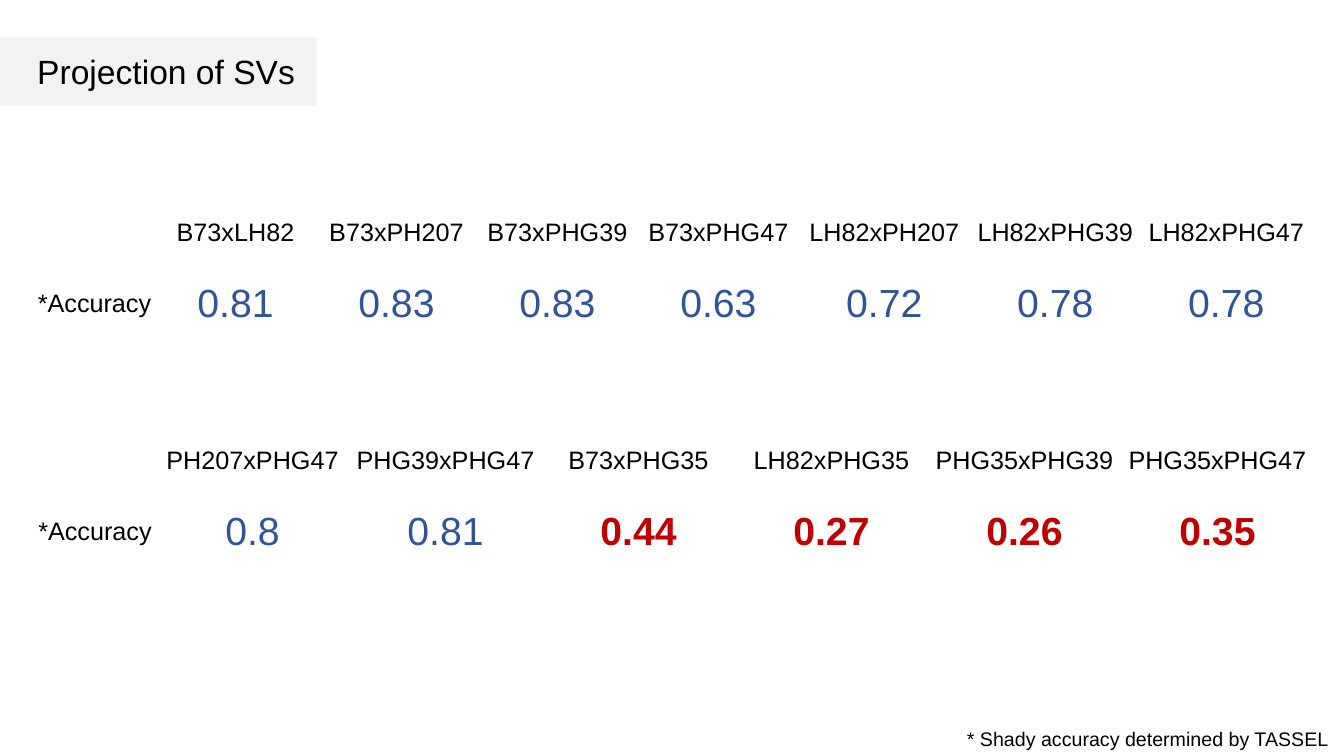
from pptx import Presentation
from pptx.dml.color import RGBColor
from pptx.enum.shapes import MSO_SHAPE
from pptx.enum.text import MSO_ANCHOR, MSO_AUTO_SIZE, PP_ALIGN
from pptx.util import Pt

RECTANGLE = MSO_SHAPE.RECTANGLE
TOP, MIDDLE = MSO_ANCHOR.TOP, MSO_ANCHOR.MIDDLE
LEFT, CENTER, RIGHT = PP_ALIGN.LEFT, PP_ALIGN.CENTER, PP_ALIGN.RIGHT
NO_AUTOFIT = MSO_AUTO_SIZE.NONE
FIT_SHAPE = MSO_AUTO_SIZE.SHAPE_TO_FIT_TEXT

EMU_PER_PX = 914400 / 100.8
BLACK, BAND_GREY = "000000", "F2F2F2"
GOOD_BLUE, POOR_RED = "2F5597", "C00000"
POOR_LIMIT = 0.5


def px(length):
    return round(length * EMU_PER_PX)


def colour(hex_string):
    return RGBColor.from_string(hex_string)


class SlideBuilder:
    font_name = "Arial"
    row_height = 71

    def __init__(self, slide):
        self.slide = slide

    def format_text(self, frame, size, hex_string=BLACK, align=LEFT, bold=False):
        for paragraph in frame.paragraphs:
            paragraph.alignment = align
            for run in paragraph.runs:
                run.font.name = self.font_name
                run.font.size = Pt(size)
                run.font.bold = bold
                run.font.color.rgb = colour(hex_string)

    def band(self, left, top, width, height, hex_string):
        band = self.slide.shapes.add_shape(
            RECTANGLE, px(left), px(top), px(width), px(height))
        band.shadow.inherit = False
        band.fill.solid()
        band.fill.fore_color.rgb = colour(hex_string)
        band.line.fill.background()
        return band

    def title(self, text, left, top, width, height, band):
        heading = self.slide.shapes.title
        heading.left, heading.top = px(left), px(top)
        heading.width, heading.height = px(width), px(height)
        frame = heading.text_frame
        frame.text = text
        frame.vertical_anchor = TOP
        frame.auto_size = NO_AUTOFIT
        self.format_text(frame, 24, align=RIGHT)
        band.element.addnext(heading.element)

    def footnote(self, text, left, top, width, height):
        note = self.slide.shapes.add_textbox(
            px(left), px(top), px(width), px(height))
        frame = note.text_frame
        frame.text = text
        frame.word_wrap = False
        frame.auto_size = FIT_SHAPE
        self.format_text(frame, 14)

    def accuracy_table(self, left, top, widths, accuracies):
        rows = [["", *accuracies], ["*Accuracy", *accuracies.values()]]
        table = self.slide.shapes.add_table(
            len(rows), len(widths), px(left), px(top),
            px(sum(widths)), px(self.row_height * len(rows))).table
        table.first_row = table.horz_banding = False
        for column, width in zip(table.columns, widths):
            column.width = px(width)
        for row_index, row in enumerate(rows):
            for column_index, value in enumerate(row):
                cell = table.cell(row_index, column_index)
                cell.fill.background()
                cell.vertical_anchor = MIDDLE
                cell.margin_left = cell.margin_right = cell.margin_top = px(1)
                cell.margin_bottom = 0
                cell.text_frame.text = str(value)
                if isinstance(value, float):
                    poor = value < POOR_LIMIT
                    self.format_text(cell.text_frame, 28,
                                     POOR_RED if poor else GOOD_BLUE,
                                     CENTER, poor)
                else:
                    self.format_text(cell.text_frame, 18, align=CENTER)


def main():
    presentation = Presentation()
    presentation.slide_width, presentation.slide_height = px(1344), px(756)
    title_only = presentation.slide_layouts[5]
    builder = SlideBuilder(presentation.slides.add_slide(title_only))

    title_band = builder.band(0, 37, 317, 69, BAND_GREY)
    builder.title("Projection of SVs", 0, 46, 305, 50, title_band)
    builder.accuracy_table(34, 197, [121] + [161] * 4 + [171] * 3, {
        "B73xLH82": 0.81, "B73xPH207": 0.83, "B73xPHG39": 0.83,
        "B73xPHG47": 0.63, "LH82xPH207": 0.72, "LH82xPHG39": 0.78,
        "LH82xPHG47": 0.78})
    builder.accuracy_table(34, 425, [122] + [193] * 6, {
        "PH207xPHG47": 0.8, "PHG39xPHG47": 0.81, "B73xPHG35": 0.44,
        "LH82xPHG35": 0.27, "PHG35xPHG39": 0.26, "PHG35xPHG47": 0.35})
    builder.footnote("* Shady accuracy determined by TASSEL", 957, 722, 387, 34)

    presentation.save("out.pptx")


if __name__ == "__main__":
    main()
